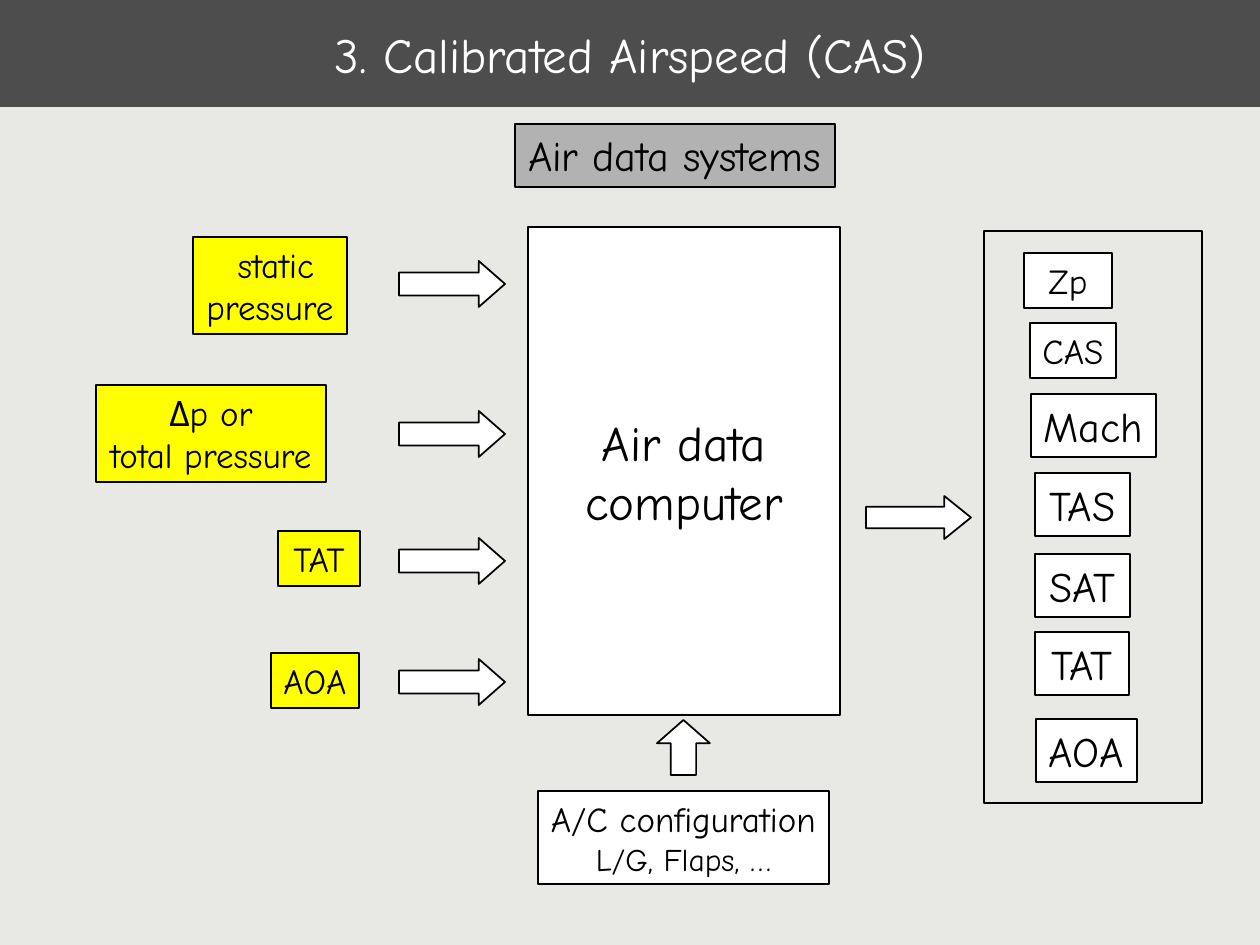
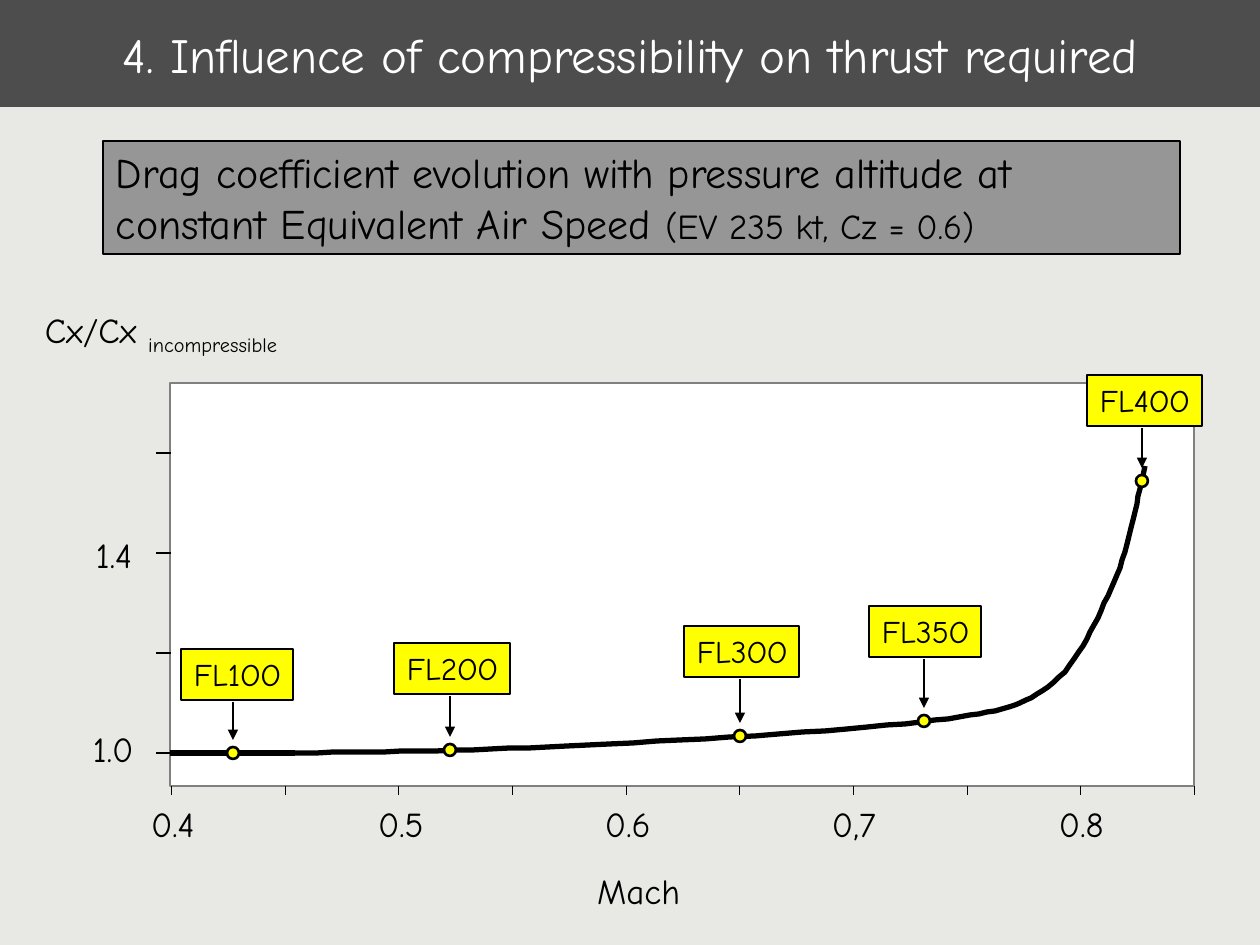
from lxml import etree
from pptx import Presentation
from pptx.dml.color import RGBColor
from pptx.enum.shapes import MSO_CONNECTOR, MSO_SHAPE
from pptx.enum.text import MSO_ANCHOR, MSO_AUTO_SIZE, PP_ALIGN
from pptx.oxml.ns import qn
from pptx.util import Pt

PX = 914400 / 126
FONT = "Comic Neue"
BACKGROUND, BAND = "E8E8E4", "4D4D4D"
BLACK, WHITE, YELLOW = "000000", "FFFFFF", "FFFF00"
LIGHT_GRAY, MID_GRAY, DARK_GRAY = "B2B2B2", "969696", "808080"
RECTANGLE, OVAL = MSO_SHAPE.RECTANGLE, MSO_SHAPE.OVAL
RIGHT_ARROW, UP_ARROW = MSO_SHAPE.RIGHT_ARROW, MSO_SHAPE.UP_ARROW
STRAIGHT = MSO_CONNECTOR.STRAIGHT
LEFT, CENTER = PP_ALIGN.LEFT, PP_ALIGN.CENTER
TOP, MIDDLE = MSO_ANCHOR.TOP, MSO_ANCHOR.MIDDLE
NO_AUTOFIT = MSO_AUTO_SIZE.NONE


def add_figure(slide, kind, place, fill=None, line=BLACK, width=1):
    """Add a preset shape at place (left, top, width, height in px); no fill or line for None."""
    figure = slide.shapes.add_shape(kind, *[round(n * PX) for n in place])
    figure.shadow.inherit = False
    if fill:
        figure.fill.solid()
        figure.fill.fore_color.rgb = RGBColor.from_string(fill)
    else:
        figure.fill.background()
    if line:
        figure.line.color.rgb = RGBColor.from_string(line)
        figure.line.width = Pt(width)
    else:
        figure.line.fill.background()
    return figure


def write_text(shape, text, size, color=BLACK, align=CENTER, anchor=MIDDLE,
               inset=(13, 6), wrap=False, tail=""):
    """Set the text of a shape; tail becomes a second run. Returns the paragraphs."""
    frame = shape.text_frame
    frame.text = text
    frame.auto_size = NO_AUTOFIT
    frame.word_wrap = wrap
    frame.vertical_anchor = anchor
    frame.margin_left = frame.margin_right = round(inset[0] * PX)
    frame.margin_top = frame.margin_bottom = round(inset[1] * PX)
    if tail:
        frame.paragraphs[0].add_run().text = tail
    for para in frame.paragraphs:
        para.alignment = align
        for span in para.runs:
            span.font.name = FONT
            span.font.size = Pt(size)
            span.font.color.rgb = RGBColor.from_string(color)
    return frame.paragraphs


deck = Presentation()
deck.slide_width, deck.slide_height = round(1260 * PX), round(945 * PX)
background = deck.slide_master.background.fill
background.solid()
background.fore_color.rgb = RGBColor.from_string(BACKGROUND)

pages = []
for heading in ["3. Calibrated Airspeed (CAS)",
                "4. Influence of compressibility on thrust required"]:
    page = deck.slides.add_slide(deck.slide_layouts[5])
    title = page.shapes.title
    title.left, title.top = 0, 0
    title.width, title.height = deck.slide_width, round(107 * PX)
    title.fill.solid()
    title.fill.fore_color.rgb = RGBColor.from_string(BAND)
    write_text(title, heading, 28, color=WHITE, wrap=True)
    pages.append(page)
airspeed_page, drag_page = pages

# Slide 1: air data systems
heading_box = add_figure(airspeed_page, RECTANGLE, (515, 124, 320, 63), LIGHT_GRAY)
write_text(heading_box, "Air data systems", 24, align=LEFT, anchor=TOP)

computer = add_figure(airspeed_page, RECTANGLE, (528, 227, 312, 488), WHITE)
write_text(computer, "Air data\ncomputer", 28, wrap=True)

add_figure(airspeed_page, RECTANGLE, (984, 231, 218, 572))

data_boxes = [
    (" static\npressure", (193, 237, 154, 97), YELLOW, 20),
    ("Δp or\ntotal pressure", (96, 385, 230, 97), YELLOW, 20),
    ("TAT", (278, 531, 82, 55), YELLOW, 20),
    ("AOA", (271, 653, 88, 55), YELLOW, 20),
    ("Zp", (1024, 253, 88, 55), WHITE, 20),
    ("CAS", (1030, 323, 86, 55), WHITE, 20),
    ("Mach", (1031, 394, 125, 63), WHITE, 24),
    ("TAS", (1035, 473, 95, 63), WHITE, 24),
    ("SAT", (1035, 554, 95, 63), WHITE, 24),
    ("TAT", (1035, 632, 94, 63), WHITE, 24),
    ("AOA", (1036, 719, 101, 63), WHITE, 24),
]
for label, place, fill, size in data_boxes:
    write_text(add_figure(airspeed_page, RECTANGLE, place, fill), label, size)

configuration = add_figure(airspeed_page, RECTANGLE, (538, 791, 291, 93), WHITE)
lines = write_text(configuration, "A/C configuration\nL/G, Flaps, …", 20)
lines[1].runs[0].font.size = Pt(18)

block_arrows = [(RIGHT_ARROW, (399, top, 106, 46), 0.5, 0.57) for top in (261, 411, 538, 659)]
block_arrows += [(RIGHT_ARROW, (866, 496, 105, 43), 0.5, 0.62),
                 (UP_ARROW, (657, 720, 53, 55), 0.48, 0.44)]
for kind, place, shaft, head in block_arrows:
    arrow = add_figure(airspeed_page, kind, place, WHITE)
    arrow.adjustments[0], arrow.adjustments[1] = shaft, head

# Slide 2: drag coefficient against Mach number
subject = add_figure(drag_page, RECTANGLE, (103, 141, 1077, 113), MID_GRAY, width=1.5)
lines = write_text(
    subject, "Drag coefficient evolution with pressure altitude at constant Equivalent Air Speed ",
    24, align=LEFT, anchor=TOP, wrap=True, tail="(EV 235 kt, Cz = 0.6)")
lines[0].runs[1].font.size = Pt(20)

add_figure(drag_page, RECTANGLE, (170, 383, 1024, 403), WHITE, DARK_GRAY, 0.75)

axis_labels = [("1.0", (93, 727, 40, 42)), ("1.4", (96, 533, 37, 42)),
               ("Mach", (597, 869, 84, 42))]
axis_labels += [(mach, (151 + 227 * i, 803, 45, 42))
                for i, mach in enumerate(["0.4", "0.5", "0.6", "0,7", "0.8"])]
for label, place in axis_labels:
    box = add_figure(drag_page, RECTANGLE, place, line=None)
    write_text(box, label, 20, align=LEFT, anchor=TOP, inset=(0, 0))

ratio = add_figure(drag_page, RECTANGLE, (45, 309, 298, 48), line=None)
lines = write_text(ratio, "Cx/Cx ", 20, align=LEFT, anchor=TOP, inset=(0, 0), wrap=True,
                   tail="incompressible")
lines[0].runs[1]._r.get_or_add_rPr().set("baseline", "-25000")

# Each Bézier segment: two control points and an end point
curve_start = (284, 753)
segments = [
    ((373, 752), (462, 751), (568, 746)),
    ((674, 741), (842, 731), (921, 722)),
    ((1000, 712), (1016, 709), (1048, 687)),
    ((1080, 663), (1097, 619), (1114, 582)),
    ((1130, 546), (1139, 490), (1145, 466)),
]
STEPS = 16
curve_points = []
start = curve_start
for first, second, end in segments:
    for step in range(1, STEPS + 1):
        t = step / STEPS
        curve_points.append(tuple(
            (1 - t) ** 3 * a + 3 * (1 - t) ** 2 * t * b + 3 * (1 - t) * t ** 2 * c + t ** 3 * d
            for a, b, c, d in zip(start, first, second, end)))
    start = end
builder = drag_page.shapes.build_freeform(*curve_start, scale=PX)
builder.add_line_segments(curve_points, close=False)
curve = builder.convert_to_shape()
curve.shadow.inherit = False
curve.fill.background()
curve.line.color.rgb = RGBColor.from_string(BLACK)
curve.line.width = Pt(3)

callouts = [
    ("FL1OO", 181, 649, 112, (233, 753)),
    ("FL2OO", 394, 643, 116, (450, 750)),
    ("FL3OO", 684, 626, 115, (740, 736)),
    ("FL35O", 869, 606, 112, (924, 721)),
    ("FL4OO", 1087, 375, 115, (1142, 481)),
]

# Straight lines: ends, width in points, arrowhead
straight_lines = [((170, 753, 295, 753), 3, False)]
for i in range(10):
    x = 171 + round(i * 1023 / 9)
    straight_lines.append(((x, 786, x, 795), 0.5, False))
for i in range(4):
    y = 753 - 100 * i
    straight_lines.append(((156, y, 171, y), 1.5, False))
for label, left, top, width, (x, y) in callouts:
    straight_lines.append(((x, top + 53, x, y - 13), 1.5, True))

for ends, width, has_head in straight_lines:
    connector = drag_page.shapes.add_connector(STRAIGHT, *[round(n * PX) for n in ends])
    connector.line.color.rgb = RGBColor.from_string(BLACK)
    connector.line.width = Pt(width)
    if has_head:
        etree.SubElement(connector.get_or_add_ln(), qn("a:tailEnd"), type="triangle")
    etree.SubElement(connector._element.spPr, qn("a:effectLst"))

for label, left, top, width, (x, y) in callouts:
    add_figure(drag_page, OVAL, (x - 6, y - 6, 12, 12), YELLOW, width=1.5)
    tag = add_figure(drag_page, RECTANGLE, (left, top, width, 51), YELLOW, width=1.5)
    write_text(tag, label, 18, align=LEFT, anchor=TOP)

deck.save("out.pptx")
